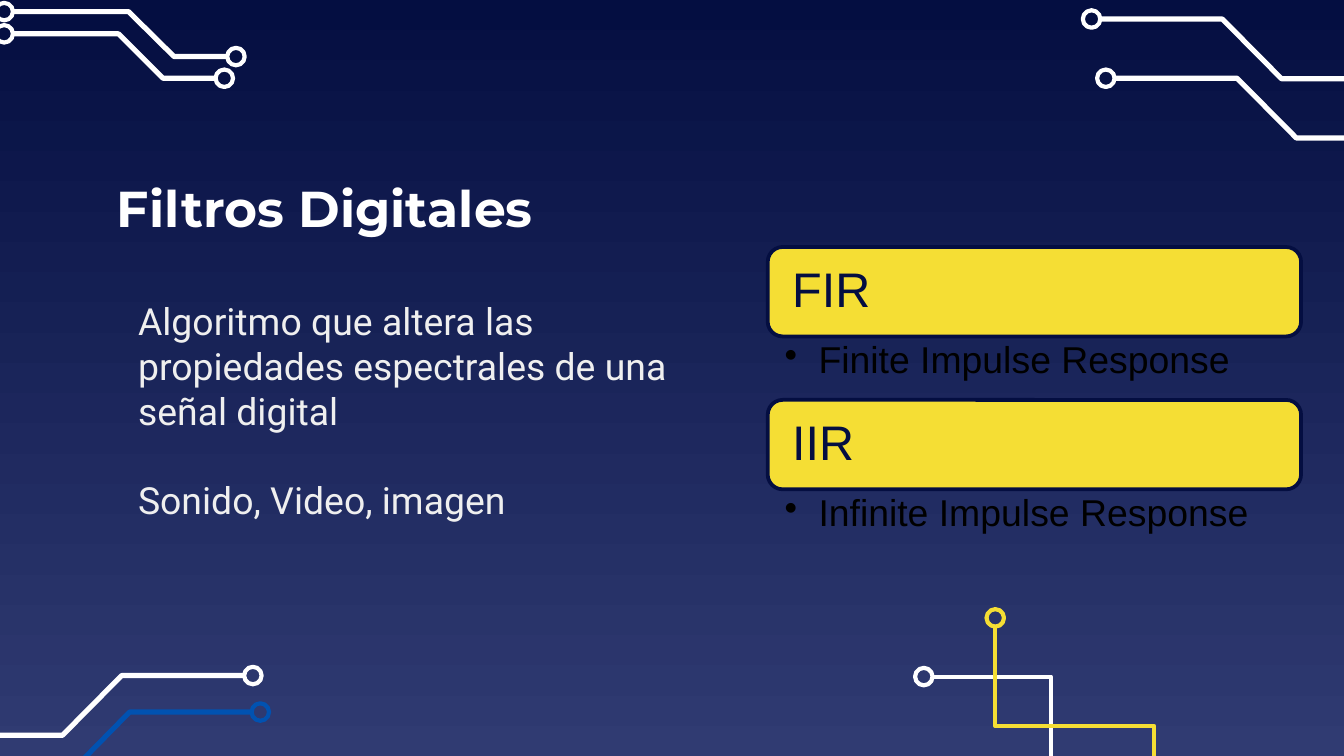
import math
from dataclasses import dataclass

import lxml.etree
import pptx
import pptx.dml.color
import pptx.enum.shapes
import pptx.enum.text
import pptx.oxml.ns
import pptx.util

Cm = pptx.util.Cm
Pt = pptx.util.Pt
Point = tuple[float, float]

COLORS = {
    "navy": "040E41",
    "indigo": "303B72",
    "white": "FFFFFF",
    "mist": "EFEFEF",
    "blue": "0152B1",
    "yellow": "F5DE34",
    "black": "000000",
}
NODE_RADIUS = 0.165
CARD_LEFT, CARD_TOP, CARD_WIDTH, CARD_HEIGHT = 14.51, 4.67, 10.08, 1.69
CARD_PITCH = 2.89


@dataclass(frozen=True)
class Trace:
    points: tuple[Point, ...]
    color: str = "white"
    width: float = 2.75
    node_at_end: bool = False


@dataclass(frozen=True)
class FilterType:
    acronym: str
    meaning: str


TRACES = [
    Trace(((4.78, 12.77), (2.3, 12.77), (1.18, 13.9), (-0.66, 13.9))),
    Trace(((4.92, 13.46), (2.45, 13.46), (1.35, 14.58), (-0.51, 14.58)), "blue"),
    Trace(((4.24, 1.48), (3.08, 1.48), (2.24, 0.64), (0.08, 0.64)), node_at_end=True),
    Trace(((4.46, 1.07), (3.29, 1.07), (2.43, 0.22), (0.08, 0.22)), node_at_end=True),
    Trace(((20.63, 0.36), (23.1, 0.36), (24.22, 1.49), (26.08, 1.49))),
    Trace(((20.9, 1.48), (23.38, 1.48), (24.5, 2.61), (26.35, 2.61))),
    Trace(((17.46, 12.79), (19.86, 12.79), (19.86, 15.6)), width=2.25),
    Trace(((18.81, 11.68), (18.81, 13.72), (21.81, 13.72), (21.81, 15.49)), "yellow", 2.25),
]
FILTER_TYPES = [
    FilterType("FIR", "Finite Impulse Response"),
    FilterType("IIR", "Infinite Impulse Response"),
]


def rgb(color: str) -> pptx.dml.color.RGBColor:
    return pptx.dml.color.RGBColor.from_string(COLORS[color])


def node_edge(center: Point, toward: Point) -> Point:
    dx, dy = toward[0] - center[0], toward[1] - center[1]
    share = NODE_RADIUS / math.hypot(dx, dy)
    return center[0] + dx * share, center[1] + dy * share


def draw_node(slide, center: Point, color: str) -> None:
    node = slide.shapes.add_shape(
        pptx.enum.shapes.MSO_SHAPE.OVAL,
        Cm(center[0] - NODE_RADIUS), Cm(center[1] - NODE_RADIUS),
        Cm(2 * NODE_RADIUS), Cm(2 * NODE_RADIUS),
    )
    node.shadow.inherit = False
    node.fill.background()
    node.line.color.rgb = rgb(color)
    node.line.width = Pt(2.25)


def draw_trace(slide, trace: Trace) -> None:
    points = list(trace.points)
    points[0] = node_edge(points[0], points[1])
    draw_node(slide, trace.points[0], trace.color)
    if trace.node_at_end:
        points[-1] = node_edge(points[-1], points[-2])
        draw_node(slide, trace.points[-1], trace.color)
    start, *rest = [(Cm(x), Cm(y)) for x, y in points]
    builder = slide.shapes.build_freeform(*start)
    builder.add_line_segments(rest, close=False)
    route = builder.convert_to_shape()
    route.shadow.inherit = False
    route.fill.background()
    route.line.color.rgb = rgb(trace.color)
    route.line.width = Pt(trace.width)


def write_text(
    shape, *texts: str, font: str, size: float, color: str, bold: bool = False,
    anchor: str = "MIDDLE", insets: tuple[float, ...] = (0.25, 0.25, 0.25, 0.25),
    line_spacing: float = 1.0, space_before: float = 0,
    indent: float = 0, bullet: bool = False,
) -> None:
    frame = shape.text_frame
    frame.word_wrap = True
    frame.vertical_anchor = pptx.enum.text.MSO_ANCHOR[anchor]
    frame.margin_left, frame.margin_top, frame.margin_right, frame.margin_bottom = map(Cm, insets)
    for index, text in enumerate(texts):
        paragraph = frame.add_paragraph() if index else frame.paragraphs[0]
        paragraph.alignment = pptx.enum.text.PP_ALIGN.LEFT
        paragraph.line_spacing = line_spacing
        if index:
            paragraph.space_before = Pt(space_before)
        properties = paragraph._p.get_or_add_pPr()
        properties.set("marL", str(Cm(indent)))
        if bullet:
            properties.set("indent", str(-Cm(indent)))
            mark = lxml.etree.SubElement(properties, pptx.oxml.ns.qn("a:buChar"))
            mark.set("char", "•")
        run = paragraph.add_run()
        run.text = text
        run.font.name = font
        run.font.size = Pt(size)
        run.font.bold = bold
        run.font.color.rgb = rgb(color)


def draw_filter_type(slide, filter_type: FilterType, top: float) -> None:
    card = slide.shapes.add_shape(
        pptx.enum.shapes.MSO_SHAPE.ROUNDED_RECTANGLE,
        Cm(CARD_LEFT), Cm(top), Cm(CARD_WIDTH), Cm(CARD_HEIGHT),
    )
    card.shadow.inherit = False
    card.fill.solid()
    card.fill.fore_color.rgb = rgb("yellow")
    card.line.color.rgb = rgb("navy")
    card.line.width = Pt(2)
    write_text(card, filter_type.acronym, font="Arial", size=26, color="navy",
               insets=(0.38, 0.28, 0.38, 0.28), line_spacing=0.9)
    meaning = slide.shapes.add_textbox(
        Cm(CARD_LEFT), Cm(top + CARD_HEIGHT), Cm(CARD_WIDTH), Cm(CARD_PITCH - CARD_HEIGHT))
    write_text(meaning, filter_type.meaning, font="Arial", size=20, color="black",
               anchor="TOP", insets=(0.32, 0.1, 0.5, 0.1), line_spacing=0.9,
               indent=0.64, bullet=True)


def main() -> None:
    deck = pptx.Presentation()
    deck.slide_width, deck.slide_height = Cm(25.4), Cm(14.29)
    slide = deck.slides.add_slide(deck.slide_layouts[6])

    backdrop = slide.background.fill
    backdrop.gradient()
    backdrop.gradient_angle = 270
    for stop, color, position in zip(backdrop.gradient_stops, ("navy", "indigo"), (0, 1)):
        stop.color.rgb = rgb(color)
        stop.position = position

    for trace in TRACES:
        draw_trace(slide, trace)

    title = slide.shapes.add_textbox(Cm(1.96), Cm(2.72), Cm(11.81), Cm(2.41))
    write_text(title, "Filtros Digitales", font="Montserrat", size=27, color="white", bold=True)

    definition = slide.shapes.add_textbox(Cm(1.98), Cm(4.93), Cm(11.81), Cm(6.86))
    write_text(
        definition,
        "Algoritmo que altera las propiedades espectrales de una señal digital",
        "Sonido, Video, imagen",
        font="Roboto", size=20, color="mist", anchor="TOP",
        insets=(0.25, 0.71, 0.25, 0.25), space_before=24, indent=0.38,
    )

    for index, filter_type in enumerate(FILTER_TYPES):
        draw_filter_type(slide, filter_type, CARD_TOP + index * CARD_PITCH)

    deck.save("out.pptx")


if __name__ == "__main__":
    main()
